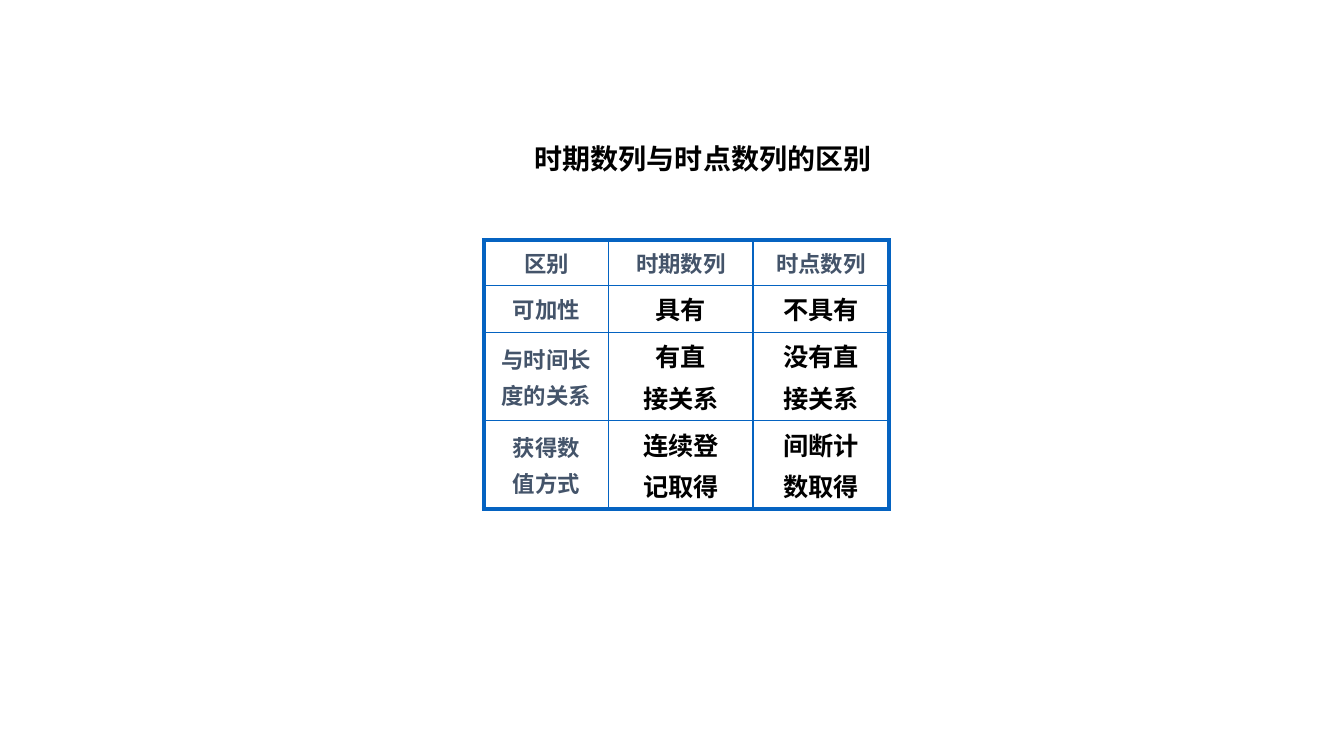
from dataclasses import dataclass

from lxml.etree import SubElement
from pptx import Presentation
from pptx.dml.color import RGBColor
from pptx.enum.shapes import MSO_SHAPE
from pptx.enum.text import MSO_ANCHOR, MSO_AUTO_SIZE, PP_ALIGN
from pptx.oxml.ns import qn
from pptx.util import Inches, Pt


@dataclass(frozen=True)
class Theme:
    font: str = "Noto Sans CJK SC"
    ink: str = "000000"
    label: str = "44546A"
    border: str = "0563C1"
    paper: str = "FFFFFF"
    title_size: int = 20
    label_size: int = 16
    value_size: int = 18
    thick: int = 3
    thin: int = 1
    space_share: float = 0.2


THEME = Theme()
GRID_STEP = Inches(0.1)
PAGE_COLUMNS, PAGE_ROWS = 133.33, 75
COLUMN_WIDTHS = (12.4, 14.3, 13.5)
ROW_HEIGHTS = (4.5, 4.7, 8.7, 8.7)
TITLE = "时期数列与时点数列的区别"
COMPARISON = (
    ("区别", "时期数列", "时点数列"),
    ("可加性", "具有", "不具有"),
    ("与时间长\n度的关系", "有直\n接关系", "没有直\n接关系"),
    ("获得数\n值方式", "连续登\n记取得", "间断计\n数取得"),
)


def grid(*counts):
    return [round(count * GRID_STEP) for count in counts]


def add_span(para, text, size, color):
    para.alignment = PP_ALIGN.CENTER
    span = para.add_run()
    span.text = text
    span.font.name = THEME.font
    span.font.size = Pt(size)
    span.font.bold = True
    span.font.color.rgb = RGBColor.from_string(color)
    SubElement(span.font._element, qn("a:ea"), typeface=THEME.font)


def add_title(page):
    box = page.shapes.add_shape(MSO_SHAPE.RECTANGLE, *grid(29.8, 13.5, 79.9, 4.4))
    box.shadow.inherit = False
    box.fill.background()
    box.line.color.rgb = RGBColor.from_string(THEME.paper)
    box.line.width = Pt(THEME.thick)
    frame = box.text_frame
    frame.word_wrap = True
    frame.auto_size = MSO_AUTO_SIZE.SHAPE_TO_FIT_TEXT
    frame.vertical_anchor = MSO_ANCHOR.TOP
    add_span(frame.paragraphs[0], TITLE, THEME.title_size, THEME.ink)


def add_border(cell, side, width):
    properties = cell._tc.get_or_add_tcPr()
    line = SubElement(properties, qn(f"a:ln{side}"), w=str(Pt(width)))
    fill = SubElement(line, qn("a:solidFill"))
    SubElement(fill, qn("a:srgbClr"), val=THEME.border)


def fill_cell(cell, text, is_label, outer_sides):
    for side in "LRTB":
        add_border(cell, side, THEME.thick if side in outer_sides else THEME.thin)
    cell.fill.background()
    cell.vertical_anchor = MSO_ANCHOR.MIDDLE
    size = THEME.label_size if is_label else THEME.value_size
    color = THEME.label if is_label else THEME.ink
    frame = cell.text_frame
    for index, line in enumerate(text.split("\n")):
        para = frame.add_paragraph() if index else frame.paragraphs[0]
        para.space_before = Pt(size * THEME.space_share)
        add_span(para, line, size, color)


def add_comparison(page):
    row_count, column_count = len(ROW_HEIGHTS), len(COLUMN_WIDTHS)
    place = grid(48, 23.8, sum(COLUMN_WIDTHS), sum(ROW_HEIGHTS))
    table = page.shapes.add_table(row_count, column_count, *place).table
    table.first_row = False
    table.horz_banding = False
    for column, width in zip(table.columns, grid(*COLUMN_WIDTHS)):
        column.width = width
    for row, height in zip(table.rows, grid(*ROW_HEIGHTS)):
        row.height = height
    for row, texts in enumerate(COMPARISON):
        for column, text in enumerate(texts):
            edges = {
                "L": column == 0,
                "R": column == column_count - 1,
                "T": row == 0,
                "B": row == row_count - 1,
            }
            outer_sides = [side for side, is_outer in edges.items() if is_outer]
            is_label = row == 0 or column == 0
            fill_cell(table.cell(row, column), text, is_label, outer_sides)


def main():
    deck = Presentation()
    deck.slide_width, deck.slide_height = grid(PAGE_COLUMNS, PAGE_ROWS)
    page = deck.slides.add_slide(deck.slide_layouts[6])
    add_comparison(page)
    add_title(page)
    deck.save("out.pptx")


if __name__ == "__main__":
    main()
